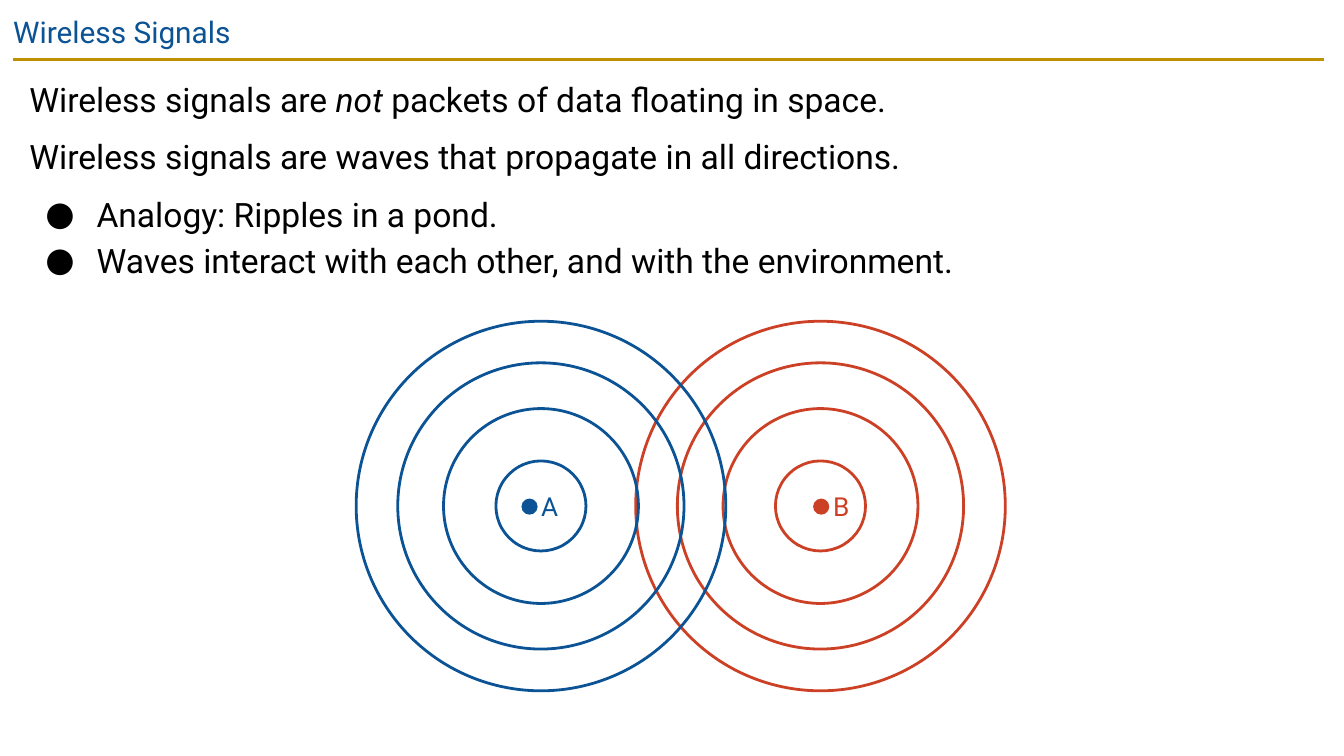
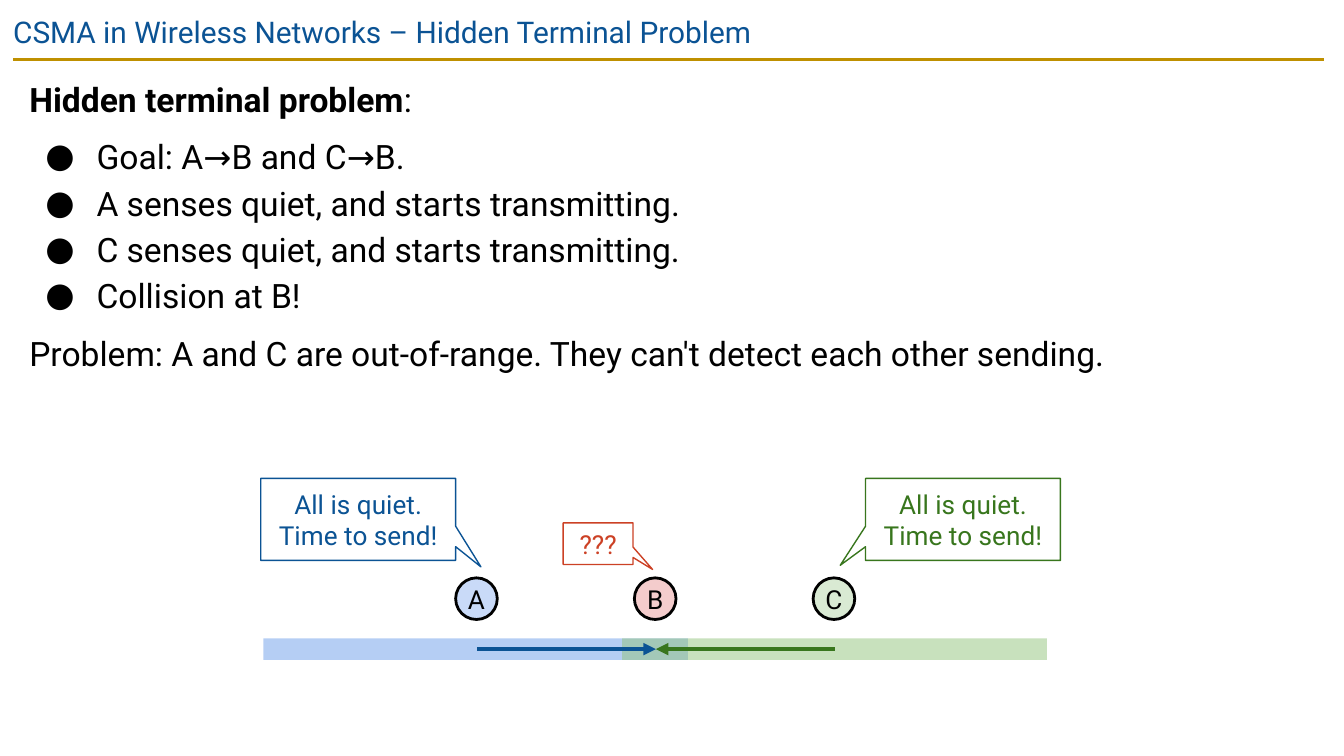
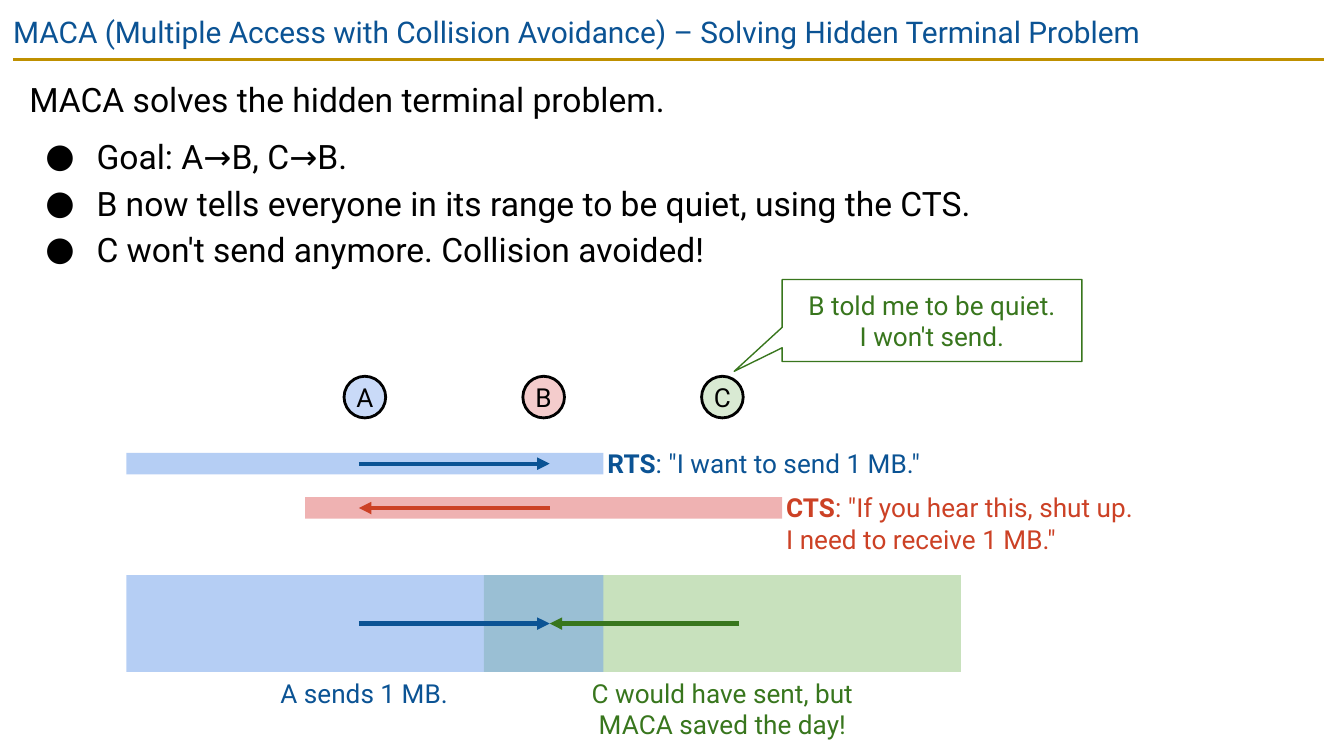
"""Builds three lecture slides on wireless signals and the hidden terminal problem."""
from copy import deepcopy

from lxml.etree import SubElement
from pptx import Presentation
from pptx.dml.color import RGBColor
from pptx.enum.shapes import MSO_CONNECTOR, MSO_SHAPE as SHAPE
from pptx.enum.text import MSO_ANCHOR as ANCHOR, PP_ALIGN as ALIGN
from pptx.oxml.ns import qn
from pptx.util import Pt

PX = 9144
FONT = "Roboto"
BLACK, WHITE, GOLD = "000000", "FFFFFF", "BF9000"
BLUE, RED, GREEN = "0B5394", "CC4125", "38761D"
BLUE_BAND, RED_BAND, GREEN_BAND = "6D9EEB", "E06666", "93C47D"
STATIONS = [("A", "C9DAF8"), ("B", "F4CCCC"), ("C", "D9EAD3")]
STATION_STEP = 133
rgb = RGBColor.from_string


def draw(slide, kind, box, fill=None, line=None, weight=1.5, alpha=None):
    shape = slide.shapes.add_shape(kind, *(n * PX for n in box))
    shape.shadow.inherit = False
    if fill:
        shape.fill.solid()
        shape.fill.fore_color.rgb = rgb(fill)
    else:
        shape.fill.background()
    if alpha:
        colour = shape.fill._xPr.find(qn("a:solidFill"))[0]
        SubElement(colour, qn("a:alpha"), val=str(alpha * 1000))
    if line:
        shape.line.color.rgb = rgb(line)
        shape.line.width = Pt(weight)
    else:
        shape.line.fill.background()
    return shape


def write(shape, text, size=14, colour=BLACK, align=ALIGN.LEFT, anchor=ANCHOR.TOP,
          margin=10, spacing=None, gap=0, emphasis="bold"):
    frame = shape.text_frame
    frame.word_wrap = True
    frame.vertical_anchor = anchor
    frame.margin_left = frame.margin_right = margin * PX
    frame.margin_top = frame.margin_bottom = margin * PX
    after_bullet = False
    for number, words in enumerate(text.split("\n")):
        paragraph = frame.add_paragraph() if number else frame.paragraphs[0]
        paragraph.alignment = align
        paragraph.line_spacing = spacing
        bullet = words.startswith("● ")
        paragraph.space_before = Pt(gap if number and not (bullet and after_bullet) else 0)
        after_bullet = bullet
        if bullet:
            words = words[2:]
            layout = paragraph._p.get_or_add_pPr()
            layout.set("marL", str(50 * PX))
            layout.set("indent", str(-38 * PX))
            SubElement(layout, qn("a:buFont"), typeface=FONT)
            SubElement(layout, qn("a:buChar"), char="●")
        for part, piece in enumerate(words.split("|")):
            for row, line in enumerate(piece.split("\v")):
                if row:
                    paragraph.add_line_break()
                if not line:
                    continue
                run = paragraph.add_run()
                run.text = line
                run.font.name = FONT
                run.font.size = Pt(size)
                run.font.color.rgb = rgb(colour)
                if part % 2:
                    setattr(run.font, emphasis, True)
        for line_break in paragraph._p.findall(qn("a:br")):
            line_break.append(deepcopy(run._r.rPr))


deck = Presentation()
deck.slide_width = 1000 * PX
deck.slide_height = deck.slide_width * 9 // 16

contents = [
    ("Wireless Signals", 195, "italic",
     "Wireless signals are |not| packets of data floating in space.\n"
     "Wireless signals are waves that propagate in all directions.\n"
     "● Analogy: Ripples in a pond.\n"
     "● Waves interact with each other, and with the environment."),
    ("CSMA in Wireless Networks – Hidden Terminal Problem", 248, "bold",
     "|Hidden terminal problem|:\n"
     "● Goal: A→B and C→B.\n"
     "● A senses quiet, and starts transmitting.\n"
     "● C senses quiet, and starts transmitting.\n"
     "● Collision at B!\n"
     "Problem: A and C are out-of-range. They can't detect each other sending."),
    ("MACA (Multiple Access with Collision Avoidance) – Solving Hidden Terminal Problem",
     164, "bold",
     "MACA solves the hidden terminal problem.\n"
     "● Goal: A→B, C→B.\n"
     "● B now tells everyone in its range to be quiet, using the CTS.\n"
     "● C won't send anymore. Collision avoided!"),
]
for title, body_height, emphasis, body in contents:
    slide = deck.slides.add_slide(deck.slide_layouts[6])
    title_box = slide.shapes.add_textbox(0, 0, 1000 * PX, 43 * PX)
    write(title_box, title, size=16, colour=BLUE)
    body_box = slide.shapes.add_textbox(12 * PX, 44 * PX, 974 * PX, body_height * PX)
    write(body_box, body, size=18, spacing=1.15, gap=6, emphasis=emphasis)
signals, hidden, maca = deck.slides

for sender, colour, centre, dot in [("B", RED, 611, 605), ("A", BLUE, 403, 388)]:
    for diameter in (275, 213, 145, 67):
        reach = (diameter + 1) // 2
        draw(signals, SHAPE.OVAL, (centre - reach, 377 - reach, diameter, diameter),
             line=colour)
    draw(signals, SHAPE.OVAL, (dot, 371, 12, 12), fill=colour)
    label = signals.shapes.add_textbox((dot + 13) * PX, 365 * PX, 16 * PX, 24 * PX)
    write(label, sender, colour=colour, align=ALIGN.CENTER, margin=0)

bands = [
    (hidden, (196, 475, 316, 16), BLUE_BAND),
    (hidden, (463, 475, 316, 16), GREEN_BAND),
    (maca, (94, 337, 355, 16), BLUE_BAND),
    (maca, (227, 370, 355, 16), RED_BAND),
    (maca, (360, 428, 355, 72), GREEN_BAND),
    (maca, (94, 428, 355, 72), BLUE_BAND),
]
for slide, box, colour in bands:
    draw(slide, SHAPE.RECTANGLE, box, fill=colour, alpha=50)

for slide, left, top in [(hidden, 339, 430), (maca, 256, 280)]:
    for place, (name, colour) in enumerate(STATIONS):
        station = draw(slide, SHAPE.OVAL, (left + place * STATION_STEP, top, 31, 31),
                       fill=colour, line=BLACK)
        write(station, name, align=ALIGN.CENTER, anchor=ANCHOR.MIDDLE, margin=0)

speeches = [
    (hidden, (644, 356, 145, 61), (-0.63, 0.56), GREEN, "All is quiet.\vTime to send!"),
    (hidden, (194, 356, 145, 61), (0.63, 0.58), BLUE, "All is quiet.\vTime to send!"),
    (hidden, (419, 389, 52, 31), (0.78, 0.62), RED, "???"),
    (maca, (582, 208, 223, 61), (-0.66, 0.62), GREEN,
     "B told me to be quiet.\vI won't send."),
]
for slide, box, tip, colour, words in speeches:
    speech = draw(slide, SHAPE.ROUNDED_RECTANGULAR_CALLOUT, box, fill=WHITE,
                  line=colour, weight=0.75)
    for index, value in enumerate((*tip, 0)):
        speech.adjustments[index] = value
    write(speech, words, colour=colour, align=ALIGN.CENTER, anchor=ANCHOR.MIDDLE)

captions = [
    ((449, 330, 276, 30), BLUE, ALIGN.LEFT, '|RTS|: "I want to send 1 MB."'),
    ((582, 363, 276, 53), RED, ALIGN.LEFT,
     '|CTS|: "If you hear this, shut up.\vI need to receive 1 MB."'),
    ((201, 501, 140, 30), BLUE, ALIGN.CENTER, "A sends 1 MB."),
    ((437, 501, 201, 53), GREEN, ALIGN.CENTER,
     "C would have sent, but MACA saved the day!"),
]
for box, colour, align, words in captions:
    caption = maca.shapes.add_textbox(*(n * PX for n in box))
    write(caption, words, colour=colour, align=align, margin=3)

strokes = [(slide, 10, 985, 44, GOLD, 1.5, False) for slide in deck.slides]
strokes += [(slide, start, end, y, colour, 2.25, True) for slide, start, end, y, colour in [
    (hidden, 355, 488, 483, BLUE),
    (hidden, 621, 488, 483, GREEN),
    (maca, 267, 409, 345, BLUE),
    (maca, 409, 267, 378, RED),
    (maca, 267, 409, 464, BLUE),
    (maca, 550, 409, 464, GREEN),
]]
for slide, start, end, y, colour, weight, arrow in strokes:
    stroke = slide.shapes.add_connector(MSO_CONNECTOR.STRAIGHT, start * PX, y * PX,
                                        end * PX, y * PX)
    stroke.line.color.rgb = rgb(colour)
    stroke.line.width = Pt(weight)
    if arrow:
        SubElement(stroke.line._get_or_add_ln(), qn("a:tailEnd"), type="triangle")
    SubElement(stroke._element.spPr, qn("a:effectLst"))

deck.save("out.pptx")
